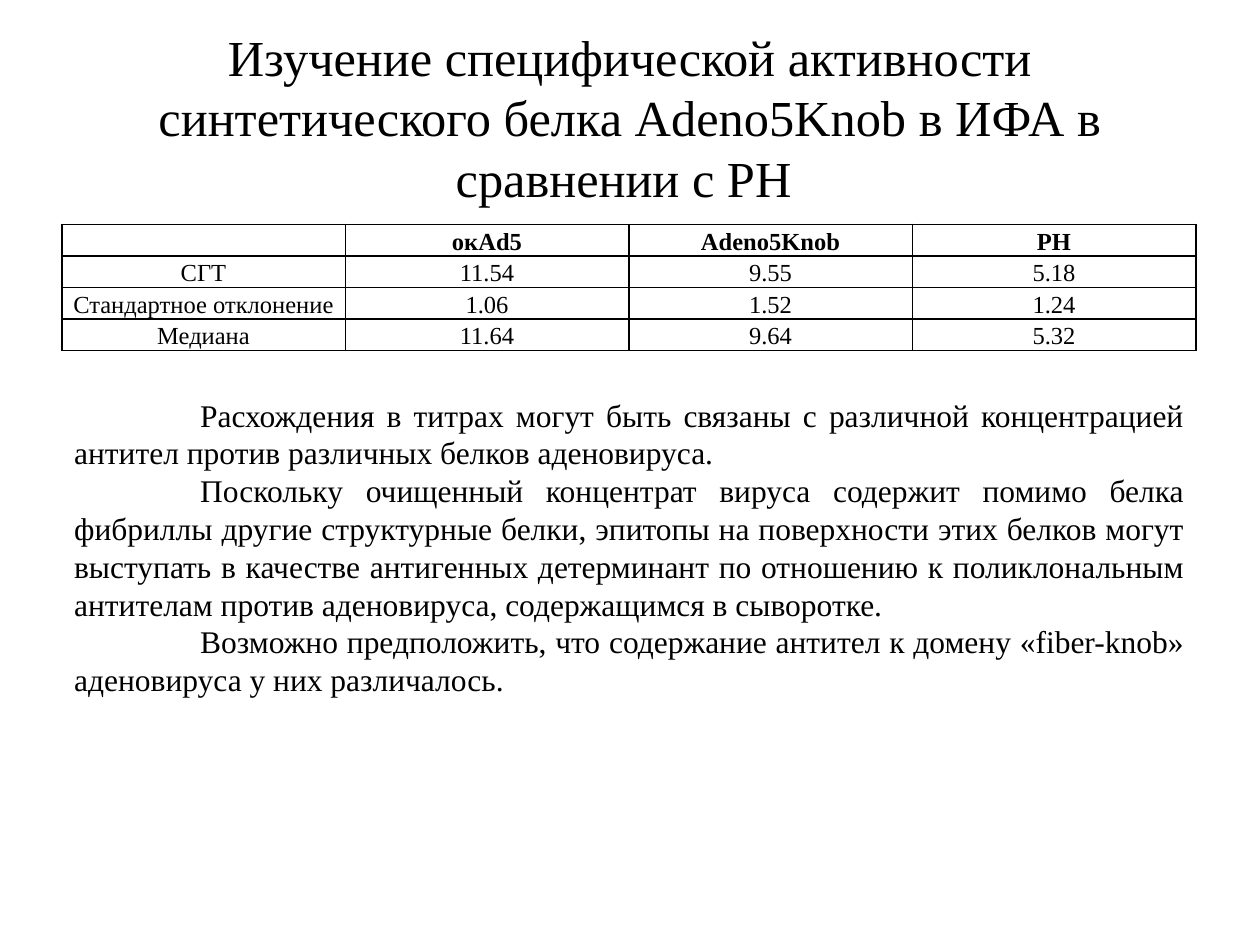
from lxml import etree
from pptx import Presentation
from pptx.dml.color import RGBColor
from pptx.enum.text import MSO_ANCHOR, MSO_AUTO_SIZE, PP_ALIGN
from pptx.oxml.ns import qn
from pptx.util import Inches, Pt

BLACK = RGBColor(0, 0, 0)
FONT = "Times New Roman"
CENTER, JUSTIFY = PP_ALIGN.CENTER, PP_ALIGN.JUSTIFY
TOP, MIDDLE = MSO_ANCHOR.TOP, MSO_ANCHOR.MIDDLE
NO_FIT, GROW = MSO_AUTO_SIZE.NONE, MSO_AUTO_SIZE.SHAPE_TO_FIT_TEXT

LEFT = Inches(0.49)
COLUMN = Inches(2.25)
ROW = Inches(0.25)


def write_text(frame, text, size, align, bold=False, spacing=None, indent=0):
    for index, line in enumerate(text.split("\n")):
        paragraph = frame.paragraphs[0] if index == 0 else frame.add_paragraph()
        paragraph.text = line
        paragraph.alignment = align
        paragraph.line_spacing = spacing
        if indent:
            properties = paragraph._p.get_or_add_pPr()
            properties.set("marL", "0")
            properties.set("indent", str(indent))
        paragraph.font.size = Pt(size)
        for run in paragraph.runs:
            run.font.name = FONT
            run.font.size = Pt(size)
            run.font.bold = bold
            run.font.color.rgb = BLACK


def add_borders(cell):
    properties = cell._tc.get_or_add_tcPr()
    for index, side in enumerate(("a:lnL", "a:lnR", "a:lnT", "a:lnB")):
        line = etree.Element(qn(side), w=str(Pt(1)))
        fill = etree.SubElement(line, qn("a:solidFill"))
        etree.SubElement(fill, qn("a:srgbClr"), val=str(BLACK))
        properties.insert(index, line)


presentation = Presentation()
presentation.slide_width = Inches(10)
presentation.slide_height = Inches(7.5)
slide = presentation.slides.add_slide(presentation.slide_layouts[5])

title = slide.shapes.title
title.left, title.top = Inches(0.5), Inches(0.3)
title.width, title.height = Inches(9), Inches(1.25)
title.text_frame.auto_size = NO_FIT
title.text_frame.vertical_anchor = MIDDLE
write_text(
    title.text_frame,
    "Изучение специфической активности синтетического белка Adeno5Knob в ИФА в сравнении с РН ",
    28.8,
    CENTER,
)

titers = [
    ["", "окAd5", "Adeno5Knob", "РН"],
    ["СГТ", "11.54", "9.55", "5.18"],
    ["Стандартное отклонение", "1.06", "1.52", "1.24"],
    ["Медиана", "11.64", "9.64", "5.32"],
]
row_count, column_count = len(titers), len(titers[0])
table = slide.shapes.add_table(
    row_count, column_count, LEFT, Inches(1.78), COLUMN * column_count, ROW * row_count
).table
for row_index, values in enumerate(titers):
    for column_index, value in enumerate(values):
        cell = table.cell(row_index, column_index)
        cell.fill.background()
        cell.margin_left = cell.margin_right = Inches(0.07)
        cell.margin_top = cell.margin_bottom = 0
        last_row_value = row_index == row_count - 1 and column_index > 0
        cell.vertical_anchor = TOP if last_row_value else MIDDLE
        write_text(cell.text_frame, value, 14, CENTER, bold=row_index == 0, spacing=1.15)
        add_borders(cell)

conclusions = [
    "Расхождения в титрах могут быть связаны с различной концентрацией антител против "
    "различных белков аденовируса.",
    "Поскольку очищенный концентрат вируса содержит помимо белка фибриллы другие "
    "структурные белки, эпитопы на поверхности этих белков могут выступать в качестве "
    "антигенных детерминант по отношению к поликлональным антителам против аденовируса, "
    "содержащимся в сыворотке.",
    "Возможно предположить, что содержание антител к домену «fiber-knob» аденовируса у них "
    "различалось.",
]
discussion = slide.shapes.add_textbox(LEFT, Inches(3.09), Inches(9.01), Inches(2.52))
discussion.text_frame.word_wrap = True
discussion.text_frame.auto_size = GROW
write_text(discussion.text_frame, "\n".join(conclusions), 18, JUSTIFY, indent=Inches(1))

presentation.save("out.pptx")
